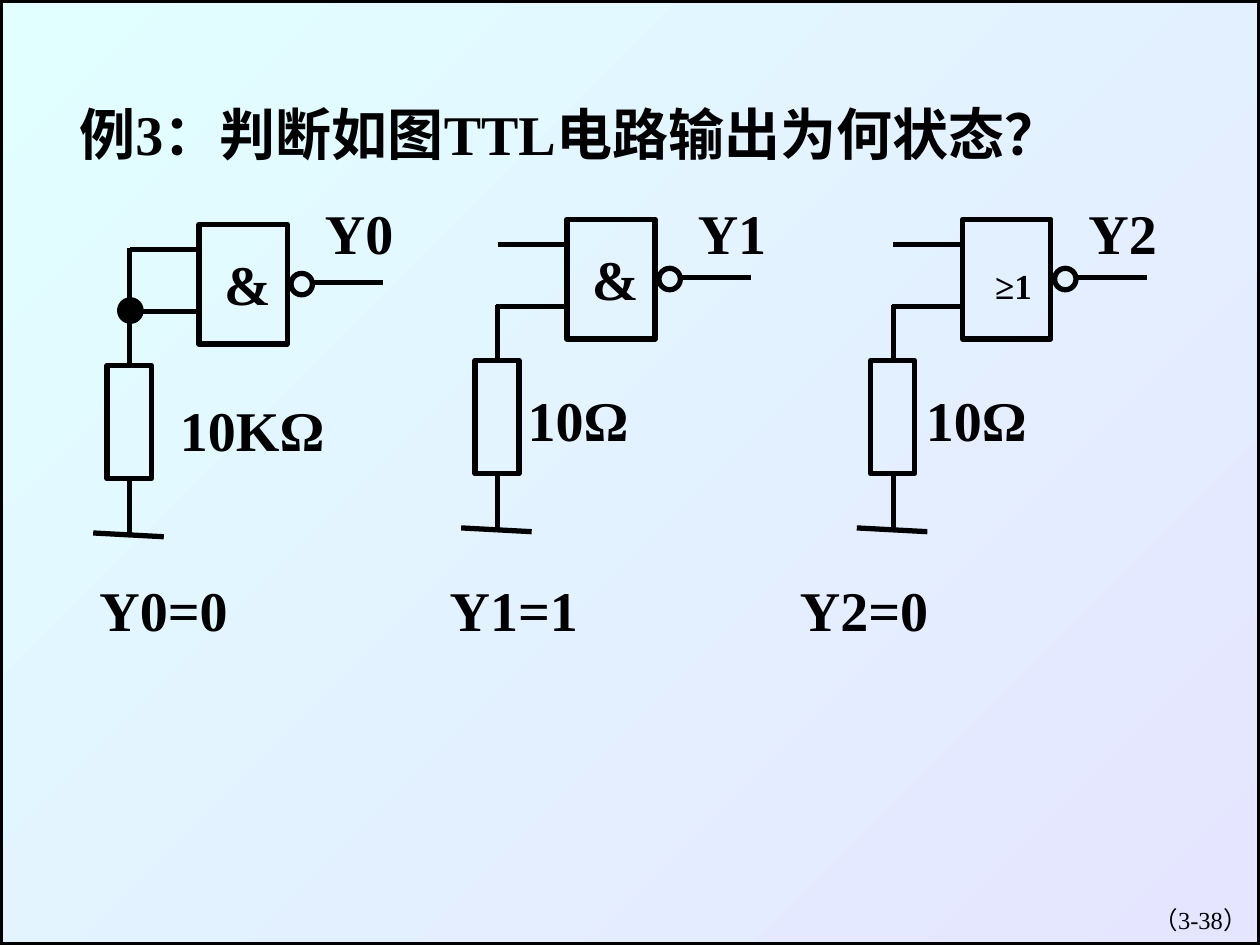
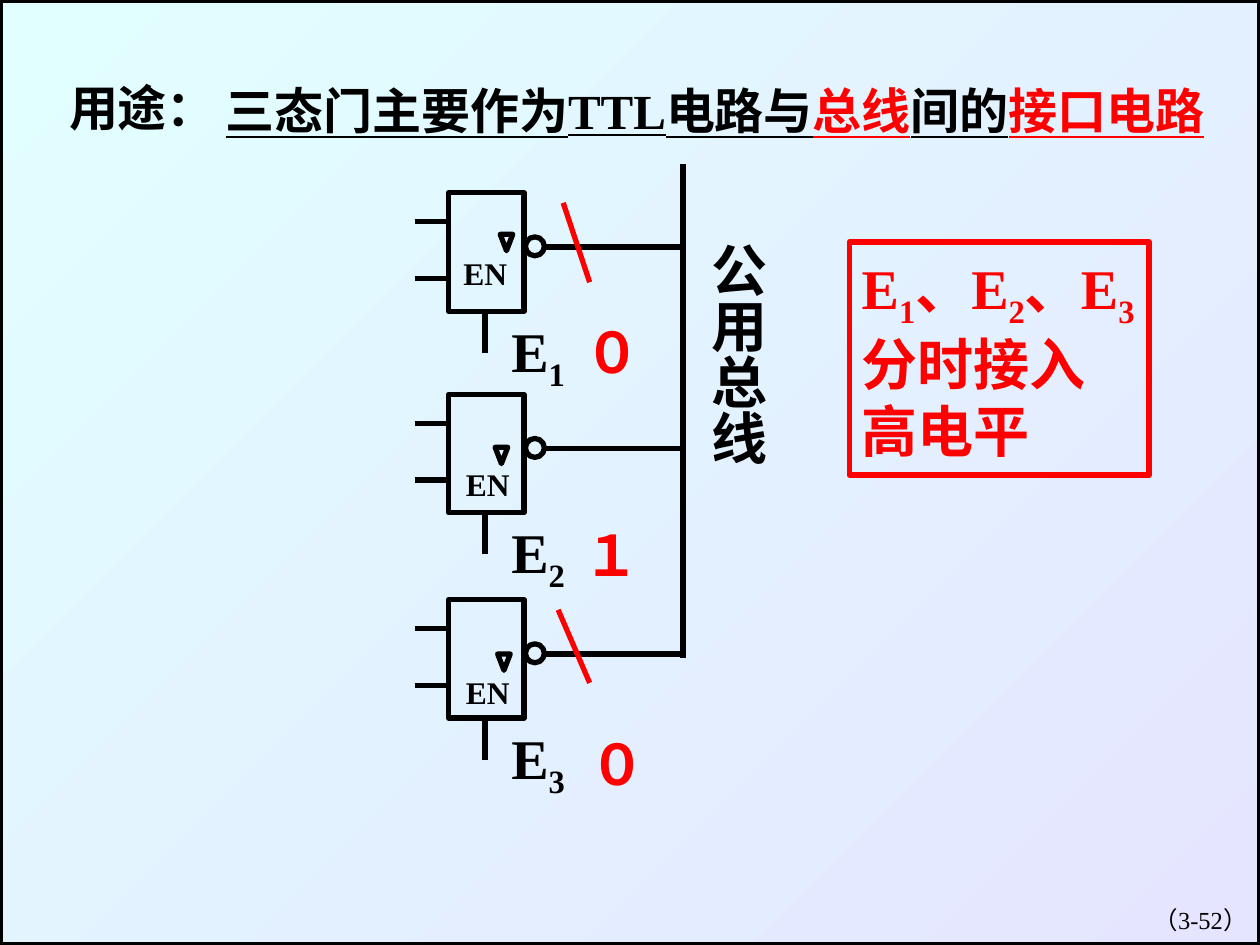
"""Builds two slides on TTL gates: input levels and three-state bus drivers."""
from lxml.etree import SubElement
from pptx import Presentation
from pptx.dml.color import RGBColor
from pptx.enum.shapes import MSO_CONNECTOR, MSO_SHAPE
from pptx.enum.text import MSO_ANCHOR, MSO_AUTO_SIZE, PP_ALIGN
from pptx.oxml.ns import qn
from pptx.util import Inches, Pt

BLACK, RED = "000000", "FF0000"
CYAN, LILAC = "E1FFFF", "E5E5FF"
FONT = "Times New Roman"
STROKE = Pt(3)
color_of = RGBColor.from_string


def write(page, at, spans, size=32, color=BLACK, wrap=True, box=None):
    box = box or page.shapes.add_textbox(0, 0, 0, 0)
    box.left, box.top, box.width, box.height = map(Inches, at)
    frame = box.text_frame
    frame.word_wrap = wrap
    frame.auto_size = MSO_AUTO_SIZE.NONE
    frame.vertical_anchor = MSO_ANCHOR.TOP
    paragraph = frame.paragraphs[0]
    paragraph.alignment = PP_ALIGN.LEFT
    paragraph.font.name = FONT
    paragraph.font.size = Pt(size)
    paragraph.font.bold = True
    paragraph.font.color.rgb = color_of(color)
    for text in spans:
        paragraph.add_run().text = text
    return box


def draw_line(page, start, end, color=BLACK):
    line = page.shapes.add_connector(MSO_CONNECTOR.STRAIGHT, *map(Inches, start + end))
    line.line.color.rgb = color_of(color)
    line.line.width = STROKE
    SubElement(line._element.spPr, qn("a:effectLst"))


deck = Presentation()
deck.slide_width, deck.slide_height = Inches(10), Inches(7.5)
layout = deck.slide_layouts[5]
example, usage = [deck.slides.add_slide(layout) for _ in range(2)]

backdrop = example.shapes.add_shape(MSO_SHAPE.RECTANGLE, 0, 0, deck.slide_width, deck.slide_height)
backdrop.shadow.inherit = False
backdrop.fill.gradient()
backdrop.fill.gradient_angle = 315
for stop, color in zip(backdrop.fill.gradient_stops, (CYAN, LILAC)):
    stop.color.rgb = color_of(color)
backdrop.line.color.rgb = color_of(BLACK)
backdrop.line.width = STROKE
layout.shapes._spTree.insert(2, backdrop._element)

for page, number in ((example, "（3-38）"), (usage, "（3-52）")):
    footer = write(page, (7.92, 7.13, 2.08, 0.5), [number], 14).text_frame.paragraphs[0]
    footer.font.bold = False
    footer.alignment = PP_ALIGN.RIGHT

outlines = []

write(example, (0.53, 0.74, 8.61, 0.64), ["例3：判断如图TTL电路输出为何状态？"],
      box=example.shapes.title)

circuits = [
    (1.58, 1.78, "&", 32, (0.1, 0.15), "10KΩ", (1.33, 3.09, 1.35, 0.64), "Y0", 2.48),
    (4.5, 1.74, "&", 32, (0.1, 0.15), "10Ω", (4.09, 3.01, 1, 0.64), "Y1", 5.44),
    (7.64, 1.74, "≥1", 20, (0.16, 0.31), "10Ω", (7.25, 3.01, 1, 0.64), "Y2", 8.54),
]
wires = [
    ((-0.55, 0.2), (0, 0.2)),
    ((-0.56, 0.69), (0, 0.69)),
    ((0.91, 0.46), (1.46, 0.46)),
    ((-0.55, 0.68), (-0.55, 1.14)),
    ((-0.55, 2), (-0.55, 2.46)),
    ((-0.84, 2.45), (-0.28, 2.48)),
]
for left, top, symbol, size, (shift, drop), ohms, ohms_at, output, output_left in circuits:
    outlines += [
        (example, MSO_SHAPE.RECTANGLE, (left, top, 0.7, 0.95), None),
        (example, MSO_SHAPE.OVAL, (left + 0.73, top + 0.39, 0.17, 0.17), None),
        (example, MSO_SHAPE.RECTANGLE, (left - 0.73, top + 1.12, 0.35, 0.9), None),
    ]
    for (x1, y1), (x2, y2) in wires:
        draw_line(example, (left + x1, top + y1), (left + x2, top + y2))
    write(example, (left + shift, top + drop, 0.57 if size == 32 else 0.49, size / 50),
          [symbol], size, wrap=False)
    write(example, ohms_at, [ohms], wrap=False)
    write(example, (output_left, 1.53, 0.74, 0.64), [output], wrap=False)

draw_line(example, (1.03, 1.97), (1.03, 2.51))
outlines.append((example, MSO_SHAPE.OVAL, (0.95, 2.38, 0.17, 0.17), BLACK))

answers = write(example, (0.69, 4.52, 8.61, 0.64), ["Y0=0\tY1=1\tY2=0"])
properties = answers.text_frame.paragraphs[0]._p.get_or_add_pPr()
tabs = SubElement(properties, qn("a:tabLst"))
properties.insert(0, tabs)
for column in (1, 2):
    SubElement(tabs, qn("a:tab"), pos=str(Inches(2.78 * column)), algn="l")

purpose = write(usage, (1.69, 0.59, 8.06, 1.04),
                ["三态门主要作为TTL电路与", "总线", "间的", "接口电路"], 28,
                box=usage.shapes.title).text_frame.paragraphs[0]
purpose.font.underline = True
for span in purpose.runs[1::2]:
    span.font.color.rgb = color_of(RED)
write(usage, (0.45, 0.57, 1.43, 0.57), ["用途："], 28)

note = write(usage, (6.74, 1.92, 2.38, 1.85),
             ["E", "1", "、E", "2", "、E", "3", "分时接入高电平"], color=RED)
note.text_frame.vertical_anchor = MSO_ANCHOR.MIDDLE
note.line.color.rgb = color_of(RED)
note.line.width = STROKE
subscripted = [note]

gates = [
    (1.53, "1", "０", (4.54, 2.47), (3.58, 1.97), (3.97, 1.86)),
    (3.13, "2", "１", (4.53, 4.08), (3.6, 3.64), (3.93, 3.55)),
    (4.76, "3", "０", (4.58, 5.74), (3.6, 5.29), (3.95, 5.19)),
]
for top, index, level, level_at, enable_at, triangle_at in gates:
    outlines += [
        (usage, MSO_SHAPE.RECTANGLE, (3.56, top, 0.6, 0.94), None),
        (usage, MSO_SHAPE.OVAL, (4.17, top + 0.35, 0.15, 0.15), None),
        (usage, MSO_SHAPE.FLOWCHART_MERGE, triangle_at + (0.1, 0.13), None),
    ]
    for drop in (0.23, 0.68):
        draw_line(usage, (3.29, top + drop), (3.56, top + drop))
    draw_line(usage, (4.31, top + 0.43), (5.44, top + 0.43))
    draw_line(usage, (3.85, top + 0.93), (3.85, top + 1.27))
    subscripted.append(write(usage, (3.96, top + 0.93, 0.69, 0.71), ["E", index]))
    write(usage, level_at + (0.7, 0.64), [level], color=RED)
    write(usage, enable_at + (0.54, 0.4), ["EN"], 18, wrap=False)

for box in subscripted:
    for span in box.text_frame.paragraphs[0].runs:
        if span.text.isdigit():
            span.font._element.set("baseline", "-25000")

draw_line(usage, (5.42, 1.3), (5.42, 5.22))
draw_line(usage, (4.47, 1.61), (4.68, 2.24), RED)
draw_line(usage, (4.43, 4.84), (4.68, 5.42), RED)

bus = write(usage, (5.44, 1.82, 0.73, 2.08), ["公用总线"]).text_frame
bus.margin_left = bus.margin_right = Inches(0.05)
bus.margin_top = bus.margin_bottom = Inches(0.1)
bus._txBody.bodyPr.set("vert", "eaVert")

for page, kind, at, fill in outlines:
    shape = page.shapes.add_shape(kind, *map(Inches, at))
    shape.shadow.inherit = False
    shape.line.color.rgb = color_of(BLACK)
    shape.line.width = STROKE
    if fill:
        shape.fill.solid()
        shape.fill.fore_color.rgb = color_of(fill)
    else:
        shape.fill.background()

deck.save("out.pptx")
